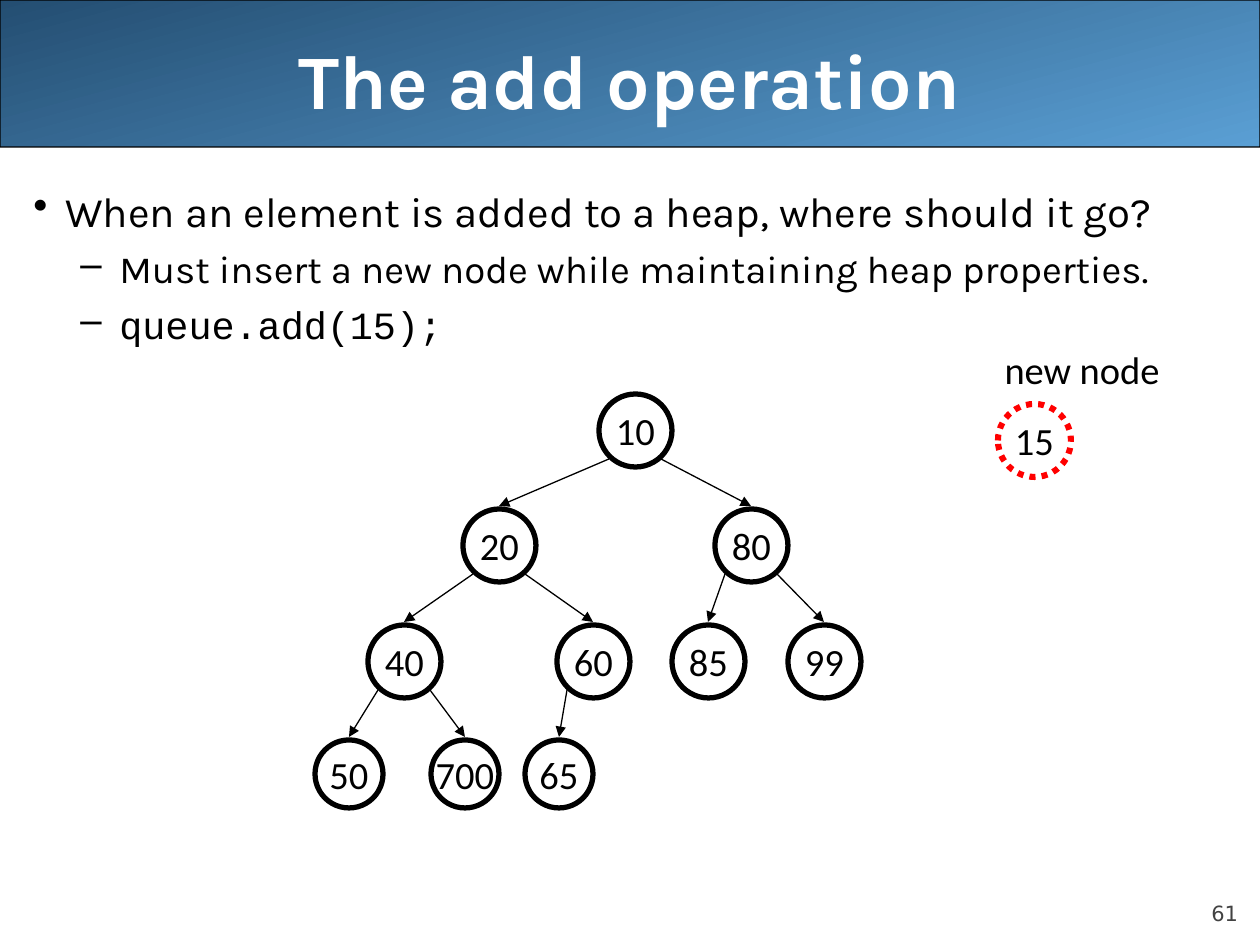
from dataclasses import dataclass

from lxml.etree import SubElement
from pptx import Presentation
from pptx.dml.color import RGBColor
from pptx.enum.dml import MSO_LINE
from pptx.enum.shapes import MSO_CONNECTOR, MSO_SHAPE
from pptx.enum.text import MSO_ANCHOR, MSO_AUTO_SIZE, PP_ALIGN
from pptx.oxml.ns import qn
from pptx.util import Emu, Pt

PX_PER_INCH = 126


@dataclass(frozen=True)
class Theme:
    ink: RGBColor = RGBColor(0x00, 0x00, 0x00)
    white: RGBColor = RGBColor(0xFF, 0xFF, 0xFF)
    grey: RGBColor = RGBColor(0x42, 0x42, 0x42)
    red: RGBColor = RGBColor(0xFF, 0x00, 0x00)
    band_dark: RGBColor = RGBColor(0x24, 0x4E, 0x72)
    band_light: RGBColor = RGBColor(0x5A, 0x9F, 0xD4)
    heading_font: str = "Karla"
    code_font: str = "Courier New"
    label_font: str = "Calibri"
    number_font: str = "DejaVu Sans"
    title_size: int = 44
    lead_size: int = 24
    text_size: int = 22
    number_size: int = 12


@dataclass(frozen=True)
class Bullet:
    text: str
    level: int
    font: str
    size: int
    mark: str
    margin: int
    hanging: int
    before: float


@dataclass(frozen=True)
class Node:
    value: int
    center: int
    level: int
    parent: int | None = None
    size: int = 73

    @property
    def top(self) -> int:
        return ROOT_TOP + self.level * TWO_LEVELS // 2


THEME = Theme()
ROOT_TOP, TWO_LEVELS = 394, 231
EDGE_SIDE, EDGE_DROP, EDGE_GAP = 26, 65, 3
LEAF_SIZE = 68

BULLETS = [
    Bullet("When an element is added to a heap, where should it go?",
           0, THEME.heading_font, THEME.lead_size, "•", 32, 32, 0),
    Bullet("Must insert a new node while maintaining heap properties.",
           1, THEME.heading_font, THEME.text_size, "–", 86, 39, 5.5),
    Bullet("queue.add(15);",
           1, THEME.code_font, THEME.text_size, "–", 86, 39, 5.5),
]

HEAP = [
    Node(10, 635, 0),
    Node(20, 499, 1, 10),
    Node(80, 751, 1, 10),
    Node(40, 404, 2, 20),
    Node(60, 593, 2, 20),
    Node(85, 708, 2, 80),
    Node(99, 824, 2, 80),
    Node(50, 349, 3, 40, LEAF_SIZE),
    Node(700, 465, 3, 40, LEAF_SIZE),
    Node(65, 559, 3, 60, LEAF_SIZE),
]


def px(*lengths: int) -> list[Emu]:
    return [Emu(round(length * 914400 / PX_PER_INCH)) for length in lengths]


def add_span(para, text: str, font: str, size: int, color: RGBColor, bold: bool = False) -> None:
    span = para.add_run()
    span.text = text
    span.font.name = font
    span.font.size = Pt(size)
    span.font.color.rgb = color
    span.font.bold = bold


def add_box(page, left: int, top: int, width: int, height: int, wrap: bool = True):
    box = page.shapes.add_textbox(*px(left, top, width, height))
    box.text_frame.word_wrap = wrap
    return box.text_frame


def add_title(page, text: str) -> None:
    title = page.shapes.title
    title.left, title.top, title.width, title.height = px(63, 0, 1134, 158)
    frame = title.text_frame
    frame.auto_size = MSO_AUTO_SIZE.NONE
    frame.vertical_anchor = MSO_ANCHOR.MIDDLE
    para = frame.paragraphs[0]
    para.alignment = PP_ALIGN.CENTER
    add_span(para, text, THEME.heading_font, THEME.title_size, THEME.white, True)

    band = page.shapes.add_shape(MSO_SHAPE.ROUNDED_RECTANGLE, *px(0, 0, 1260, 147))
    band.adjustments[0] = 0.001
    band.shadow.inherit = False
    band.fill.gradient()
    band.fill.gradient_angle = 285
    for stop, color in zip(band.fill.gradient_stops, (THEME.band_dark, THEME.band_light)):
        stop.color.rgb = color
    band.line.color.rgb = THEME.ink
    band.line.width = Pt(0.75)
    title.element.addprevious(band.element)


def add_bullets(page, bullets: list[Bullet]) -> None:
    frame = add_box(page, 21, 179, 1239, 714)
    for index, bullet in enumerate(bullets):
        para = frame.add_paragraph() if index else frame.paragraphs[0]
        para.level = bullet.level
        margin, hanging = px(bullet.margin, bullet.hanging)
        properties = para._p.get_or_add_pPr()
        properties.set("marL", str(margin))
        properties.set("indent", str(-hanging))
        SubElement(properties, qn("a:buChar")).set("char", bullet.mark)
        para.space_before = Pt(bullet.before)
        add_span(para, bullet.text, bullet.font, bullet.size, THEME.ink)


def add_circle(page, text: str, center: int, top: int, size: int):
    circle = page.shapes.add_shape(MSO_SHAPE.OVAL, *px(center - size // 2, top, size, size))
    circle.shadow.inherit = False
    circle.fill.background()
    circle.line.color.rgb = THEME.ink
    circle.line.width = Pt(3)
    frame = circle.text_frame
    frame.word_wrap = False
    frame.vertical_anchor = MSO_ANCHOR.MIDDLE
    para = frame.paragraphs[0]
    para.alignment = PP_ALIGN.CENTER
    add_span(para, text, THEME.label_font, THEME.text_size, THEME.ink)
    return circle


def add_edge(page, parent: Node, child: Node) -> None:
    side = EDGE_SIDE if child.center > parent.center else -EDGE_SIDE
    edge = page.shapes.add_connector(
        MSO_CONNECTOR.STRAIGHT,
        *px(parent.center + side, parent.top + EDGE_DROP, child.center, child.top - EDGE_GAP))
    edge.line.color.rgb = THEME.ink
    edge.line.width = Pt(0.75)
    SubElement(edge.line._get_or_add_ln(), qn("a:tailEnd")).set("type", "triangle")
    SubElement(edge.element.spPr, qn("a:effectLst"))


def add_heap(page, nodes: list[Node]) -> None:
    by_value = {node.value: node for node in nodes}
    for node in nodes:
        add_circle(page, str(node.value), node.center, node.top, node.size)
        if node.parent is not None:
            add_edge(page, by_value[node.parent], node)


def add_new_node(page) -> None:
    circle = add_circle(page, "15", 1034, 404, 73)
    circle.line.color.rgb = THEME.red
    circle.line.width = Pt(3.5)
    circle.line.dash_style = MSO_LINE.ROUND_DOT
    frame = add_box(page, 992, 340, 180, 59, wrap=False)
    frame.paragraphs[0].alignment = PP_ALIGN.RIGHT
    add_span(frame.paragraphs[0], "new node", THEME.label_font, THEME.text_size, THEME.ink)


def add_page_number(page, number: int) -> None:
    frame = add_box(page, 1134, 876, 104, 50)
    frame.margin_left = frame.margin_top = frame.margin_right = frame.margin_bottom = 0
    frame.vertical_anchor = MSO_ANCHOR.BOTTOM
    frame.paragraphs[0].alignment = PP_ALIGN.RIGHT
    add_span(frame.paragraphs[0], str(number), THEME.number_font, THEME.number_size, THEME.grey)


def main() -> None:
    deck = Presentation()
    deck.slide_width, deck.slide_height = px(1260, 945)
    page = deck.slides.add_slide(deck.slide_layouts[5])
    add_title(page, "The add operation")
    add_page_number(page, 61)
    add_bullets(page, BULLETS)
    add_heap(page, HEAP)
    add_new_node(page)
    deck.save("out.pptx")


if __name__ == "__main__":
    main()
